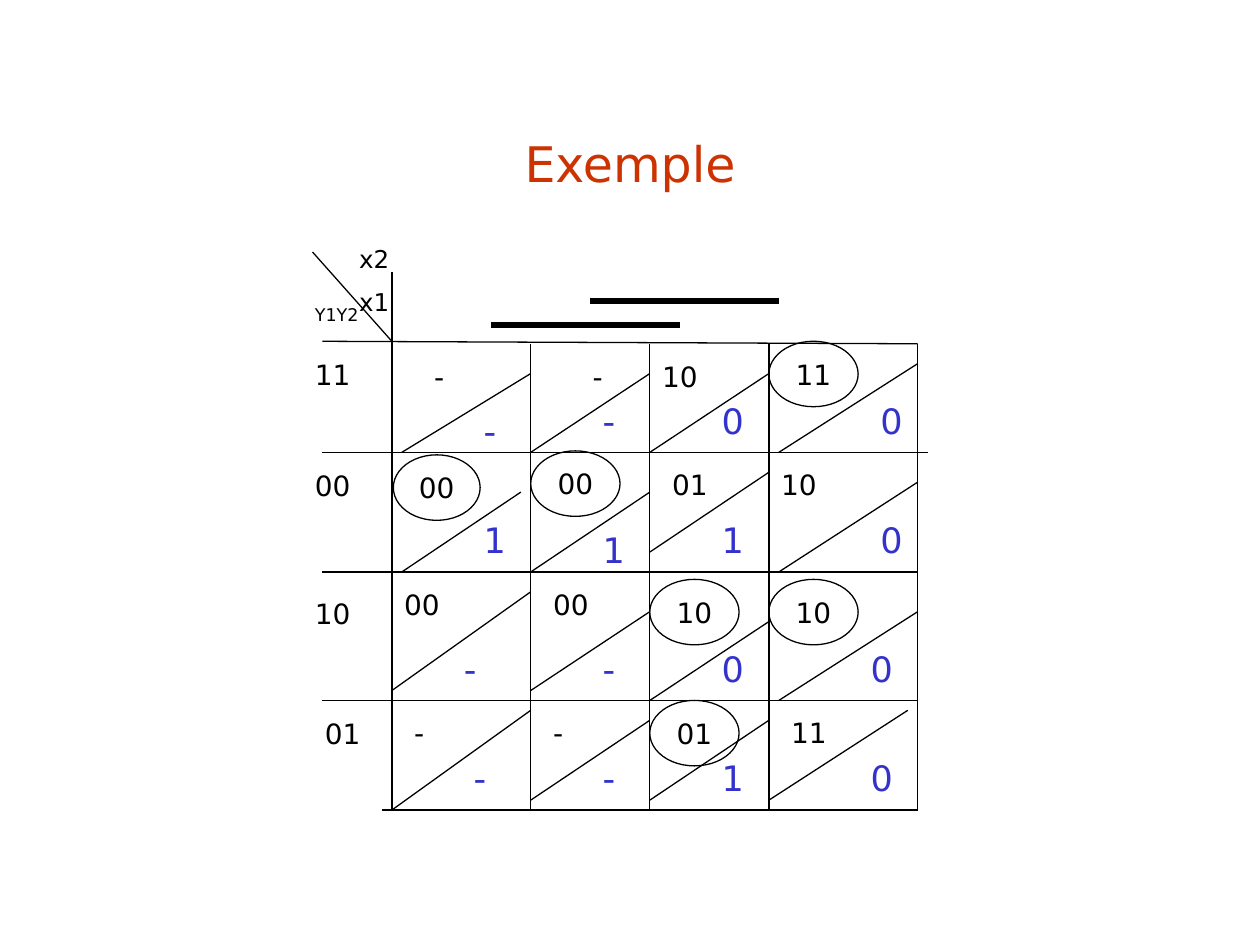
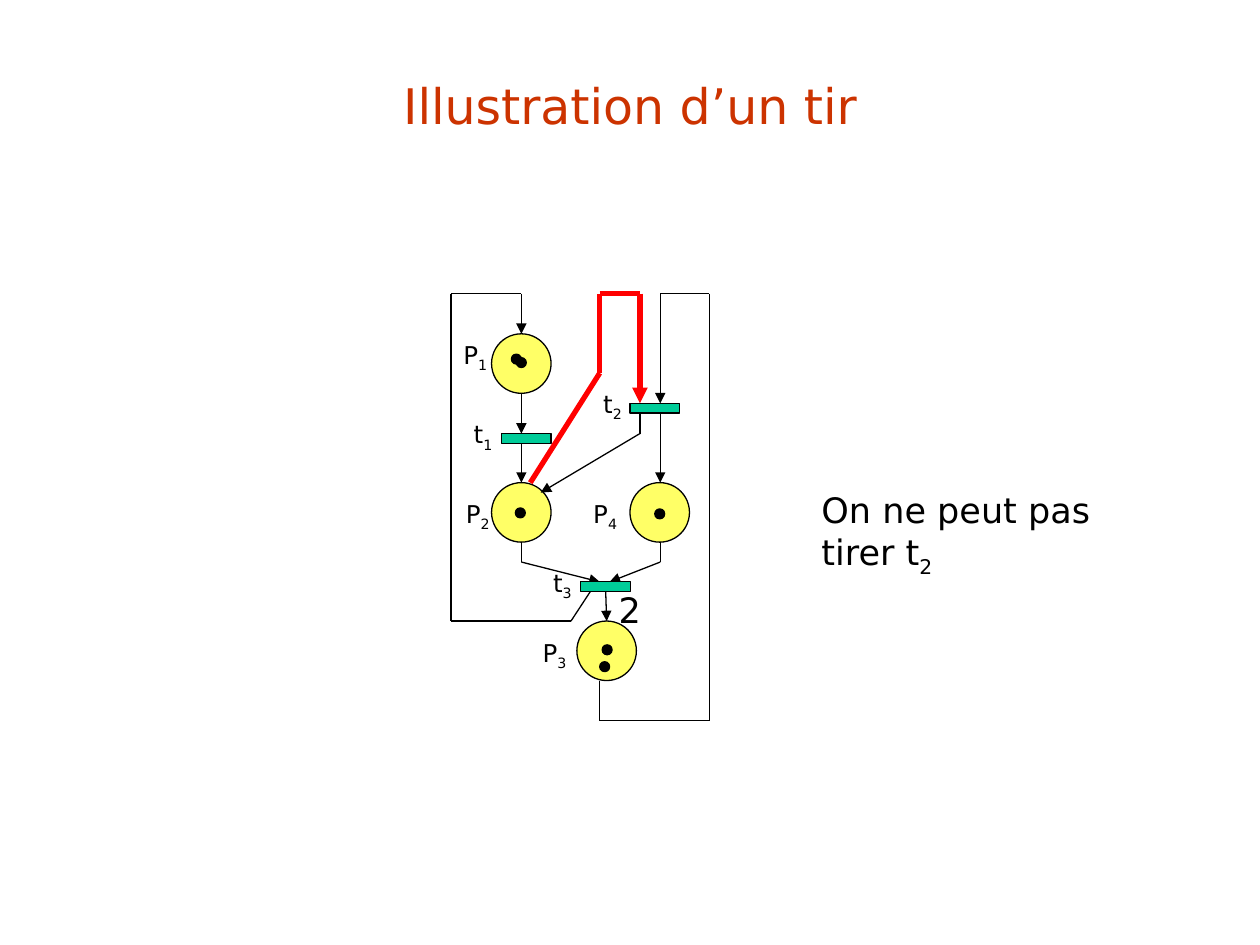
from dataclasses import dataclass
from itertools import pairwise

import lxml.etree
import pptx
import pptx.dml.color
import pptx.enum.shapes
import pptx.enum.text
import pptx.oxml.ns
import pptx.presentation
import pptx.shapes.autoshape
import pptx.shapes.connector
import pptx.slide
import pptx.util
from pptx.util import Cm, Pt

RGBColor = pptx.dml.color.RGBColor
BLACK = RGBColor(0x00, 0x00, 0x00)
WHITE = RGBColor(0xFF, 0xFF, 0xFF)
TITLE_RED = RGBColor(0xCC, 0x33, 0x00)
OUTPUT_BLUE = RGBColor(0x33, 0x33, 0xCC)
PLACE_YELLOW = RGBColor(0xFF, 0xFF, 0x66)
TRANSITION_GREEN = RGBColor(0x00, 0xCC, 0x99)
BLOCKED_RED = RGBColor(0xFF, 0x00, 0x00)
FONT = "DejaVu Sans"
THIN, THICK = 0.75, 3

OVAL = pptx.enum.shapes.MSO_SHAPE.OVAL
RECTANGLE = pptx.enum.shapes.MSO_SHAPE.RECTANGLE
CENTER = pptx.enum.text.PP_ALIGN.CENTER
MIDDLE = pptx.enum.text.MSO_ANCHOR.MIDDLE

Point = tuple[float, float]
Box = tuple[float, float, float, float]


@dataclass
class Cell:
    """One table cell; offsets in cm run from the cell's own corners."""
    state: str
    state_x: float
    state_width: float
    output: str
    output_x: float
    output_y: float
    start_x: float
    start_rise: float
    end_drop: float
    end_inset: float = 0


@dataclass
class StableCell(Cell):
    """A cell whose next state is circled."""
    circle_y: float = 0


@dataclass
class RowLabel:
    text: str
    left: float
    top: float


@dataclass
class Node:
    """A place or transition, with its label to the left."""
    name: str
    left: float
    top: float
    label_left: float
    label_top: float
    tokens: tuple[Point, ...] = ()


@dataclass
class Route:
    points: list[Point]
    color: RGBColor = BLACK
    width: float = THIN


COLUMNS = [7.9, 10.7, 13.1, 15.5, 18.5]
ROWS = [6.93, 9.12, 11.53, 14.12, 16.33]
CELLS = [
    [Cell("-", 0.6, 0.8, "-", 1.6, 1.2, 0.2, 0, 0.6),
     Cell("-", 1, 2.4, "-", 1.2, 1, 0, 0, 0.6),
     Cell("10", 0, 2, "0", 1.2, 1, 0, 0, 0.6),
     StableCell("11", 0, 1.8, "0", 2, 1, 0.2, 0, 0.4, circle_y=-0.05)],
    [StableCell("00", 0.03, 1.75, "1", 1.6, 1.2, 0.2, 0, 0.8, 0.2, 0.05),
     StableCell("00", 0, 1.8, "1", 1.2, 1.4, 0, 0, 0.8, circle_y=-0.03),
     Cell("01", 0.2, 1.8, "1", 1.2, 1.2, 0, 0.4, 0.4),
     Cell("10", 0, 1.4, "0", 2, 1.2, 0.2, 0, 0.6)],
    [Cell("00", 0, 1.6, "-", 1.2, 1.4, 0, 0.2, 0.4),
     Cell("00", 0.2, 1.6, "-", 1.2, 1.4, 0, 0.2, 0.8),
     StableCell("10", 0, 1.8, "0", 1.2, 1.4, 0, 0, 1, circle_y=0.15),
     StableCell("10", 0, 1.8, "0", 1.8, 1.4, 0.2, 0, 0.8, circle_y=0.15)],
    [Cell("-", 0.2, 0.8, "-", 1.4, 1, 0, 0, 0.2),
     Cell("-", 0.2, 0.6, "-", 1.2, 1, 0, 0.2, 0.4),
     StableCell("01", 0, 1.8, "1", 1.2, 1, 0, 0.2, 0.4),
     Cell("11", 0.2, 1.4, "0", 1.8, 1, 0, 0.2, 0.2, 0.2)],
]
ROW_LABELS = [
    RowLabel("11", 6.1, 7.09), RowLabel("00", 6.1, 9.32),
    RowLabel("10", 6.1, 11.91), RowLabel("01", 6.3, 14.33),
]
TABLE_RULES = [
    ((6.5, 6.88), (18.5, 6.93)), ((6.5, 9.12), (18.7, 9.12)),
    ((6.5, 11.53), (18.5, 11.53)), ((6.5, 14.12), (18.5, 14.12)),
    ((7.7, 16.33), (18.5, 16.33)), ((6.3, 5.08), (7.9, 6.88)),
]
INPUT_BARS = [((11.89, 6.07), (15.7, 6.07)), ((9.9, 6.55), (13.7, 6.55))]

PLACES = [
    Node("P1", 9.91, 6.73, 9.09, 6.73, ((10.41, 7.21), (10.31, 7.14))),
    Node("P2", 9.91, 9.73, 9.14, 9.93, ((10.39, 10.24),)),
    Node("P3", 11.63, 12.52, 10.69, 12.73, ((12.14, 13), (12.09, 13.34))),
    Node("P4", 12.7, 9.73, 11.71, 9.93, ((13.2, 10.26),)),
]
TRANSITIONS = [
    Node("t1", 10.11, 8.74, 9.3, 8.33),
    Node("t2", 12.7, 8.13, 11.91, 7.72),
    Node("t3", 11.71, 11.73, 10.9, 11.33),
]
ROUTES = [
    Route([(10.51, 7.92), (10.51, 8.74)]),
    Route([(10.51, 8.92), (10.51, 9.73)]),
    Route([(10.51, 10.92), (10.51, 11.33), (12.09, 11.73)]),
    Route([(13.31, 10.92), (13.31, 11.33), (12.29, 11.73)]),
    Route([(12.9, 8.33), (12.9, 8.74), (10.9, 9.93)]),
    Route([(13.31, 8.33), (13.31, 9.73)]),
    Route([(12.09, 13.72), (12.09, 14.53), (14.3, 14.53),
           (14.3, 5.92), (13.31, 5.92), (13.31, 8.13)]),
    Route([(11.91, 11.91), (11.51, 12.52), (9.09, 12.52),
           (9.09, 5.92), (10.51, 5.92), (10.51, 6.73)]),
    Route([(10.69, 9.73), (12.09, 7.52), (12.09, 5.92),
           (12.9, 5.92), (12.9, 8.13)], BLOCKED_RED, THICK),
]


def write_text(text_frame: pptx.text.text.TextFrame, text: str, size: float,
               color: RGBColor = BLACK, subscript: bool = False) -> None:
    """Fill a frame; with subscript, the last character is lowered."""
    text_frame.word_wrap = True
    text_frame.text = text[:-1] if subscript else text
    if subscript:
        run = text_frame.paragraphs[0].add_run()
        run.text = text[-1]
        run._r.get_or_add_rPr().set("baseline", "-25000")
    for paragraph in text_frame.paragraphs:
        for run in paragraph.runs:
            run.font.name = FONT
            run.font.size = Pt(size)
            run.font.color.rgb = color


def add_text(slide: pptx.slide.Slide, box: Box, text: str, size: float,
             color: RGBColor = BLACK,
             subscript: bool = False) -> pptx.text.text.TextFrame:
    text_box = slide.shapes.add_textbox(*map(Cm, box))
    write_text(text_box.text_frame, text, size, color, subscript)
    return text_box.text_frame


def add_figure(slide: pptx.slide.Slide, kind: pptx.enum.shapes.MSO_SHAPE, box: Box,
               fill: RGBColor | None = None) -> pptx.shapes.autoshape.Shape:
    shape = slide.shapes.add_shape(kind, *map(Cm, box))
    shape.shadow.inherit = False
    if fill is None:
        shape.fill.background()
    else:
        shape.fill.solid()
        shape.fill.fore_color.rgb = fill
    shape.line.color.rgb = BLACK
    shape.line.width = Pt(THIN)
    return shape


def add_line(slide: pptx.slide.Slide, start: Point, end: Point,
             color: RGBColor = BLACK, width: float = THIN,
             arrow: bool = False) -> pptx.shapes.connector.Connector:
    connector = slide.shapes.add_connector(
        pptx.enum.shapes.MSO_CONNECTOR.STRAIGHT, *map(Cm, start + end))
    connector.line.color.rgb = color
    connector.line.width = Pt(width)
    if arrow:
        lxml.etree.SubElement(connector.line._get_or_add_ln(),
                              pptx.oxml.ns.qn("a:tailEnd"), type="triangle")
    lxml.etree.SubElement(connector._element.spPr, pptx.oxml.ns.qn("a:effectLst"))
    return connector


def add_titled_slide(presentation: pptx.presentation.Presentation,
                     title: str, top: float) -> pptx.slide.Slide:
    slide = presentation.slides.add_slide(presentation.slide_layouts[6])
    slide.background.fill.solid()
    slide.background.fill.fore_color.rgb = WHITE
    text_frame = add_text(slide, (1.9, top, 21.6, 3.18), title, 28, TITLE_RED)
    text_frame.vertical_anchor = MIDDLE
    text_frame.paragraphs[0].alignment = CENTER
    return slide


def draw_cell(slide: pptx.slide.Slide, cell: Cell, row: int, column: int) -> None:
    left, right = COLUMNS[column:column + 2]
    top, bottom = ROWS[row:row + 2]
    add_line(slide, (right - cell.end_inset, top + cell.end_drop),
             (left + cell.start_x, bottom - cell.start_rise))
    state_left = left + cell.state_x
    if isinstance(cell, StableCell):
        circle = add_figure(slide, OVAL, (state_left, top + cell.circle_y,
                                          cell.state_width, 1.32))
        text_frame = circle.text_frame
        text_frame.margin_left = text_frame.margin_right = 0
        write_text(text_frame, cell.state, 16)
        text_frame.vertical_anchor = MIDDLE
        text_frame.paragraphs[0].alignment = CENTER
    else:
        add_text(slide, (state_left, top + 0.19, cell.state_width, 0.94), cell.state, 16)
    add_text(slide, (left + cell.output_x, top + cell.output_y, 1, 1.09),
             cell.output, 20, OUTPUT_BLUE)


def build_state_table(presentation: pptx.presentation.Presentation) -> None:
    slide = add_titled_slide(presentation, "Exemple", 1.7)
    for start, end in TABLE_RULES:
        add_line(slide, start, end)
    for column, left in enumerate(COLUMNS):
        add_line(slide, (left, ROWS[0] if column else 5.49), (left, ROWS[-1]))
    for start, end in INPUT_BARS:
        add_line(slide, start, end, width=THICK)
    inputs = add_text(slide, (6.99, 4.8, 1.2, 1.73), "x2\nx1", 14)
    inputs.paragraphs[1].space_before = Pt(7.5)
    add_text(slide, (6.1, 6, 1.5, 0.69), "Y1Y2", 10)
    for label in ROW_LABELS:
        add_text(slide, (label.left, label.top, 1.4, 0.94), label.text, 16)
    for row, cells in enumerate(CELLS):
        for column, cell in enumerate(cells):
            draw_cell(slide, cell, row, column)


def draw_node(slide: pptx.slide.Slide, node: Node, kind: pptx.enum.shapes.MSO_SHAPE,
              width: float, height: float, label_width: float,
              fill: RGBColor) -> pptx.shapes.autoshape.Shape:
    shape = add_figure(slide, kind, (node.left, node.top, width, height), fill)
    for left, top in node.tokens:
        add_figure(slide, OVAL, (left, top, 0.2, 0.2), BLACK)
    add_text(slide, (node.label_left, node.label_top, label_width, 0.84),
             node.name, 14, subscript=True)
    return shape


def build_petri_net(presentation: pptx.presentation.Presentation) -> None:
    slide = add_titled_slide(presentation, "Illustration d’un tir", 0.53)
    places = {node.name: draw_node(slide, node, OVAL, 1.2, 1.2, 1.6, PLACE_YELLOW)
              for node in PLACES}
    for route in ROUTES:
        segments = list(pairwise(route.points))
        for start, end in segments:
            add_line(slide, start, end, route.color, route.width,
                     arrow=end == route.points[-1])
    transitions = {
        node.name: draw_node(slide, node, RECTANGLE, 1, 0.2, 1, TRANSITION_GREEN)
        for node in TRANSITIONS}
    production = add_line(slide, (12.21, 11.93), (12.23, 12.52), arrow=True)
    production.begin_connect(transitions["t3"], 2)
    production.end_connect(places["P3"], 0)
    add_text(slide, (12.22, 11.73, 1.4, 1.09), "2", 20)
    add_text(slide, (16.31, 9.73, 7.6, 1.96), "On ne peut pas tirer t2", 20,
             subscript=True)


def main() -> None:
    presentation = pptx.Presentation()
    presentation.slide_width = Cm(25.4)
    presentation.slide_height = Cm(19.05)
    build_state_table(presentation)
    build_petri_net(presentation)
    presentation.save("out.pptx")


if __name__ == "__main__":
    main()
